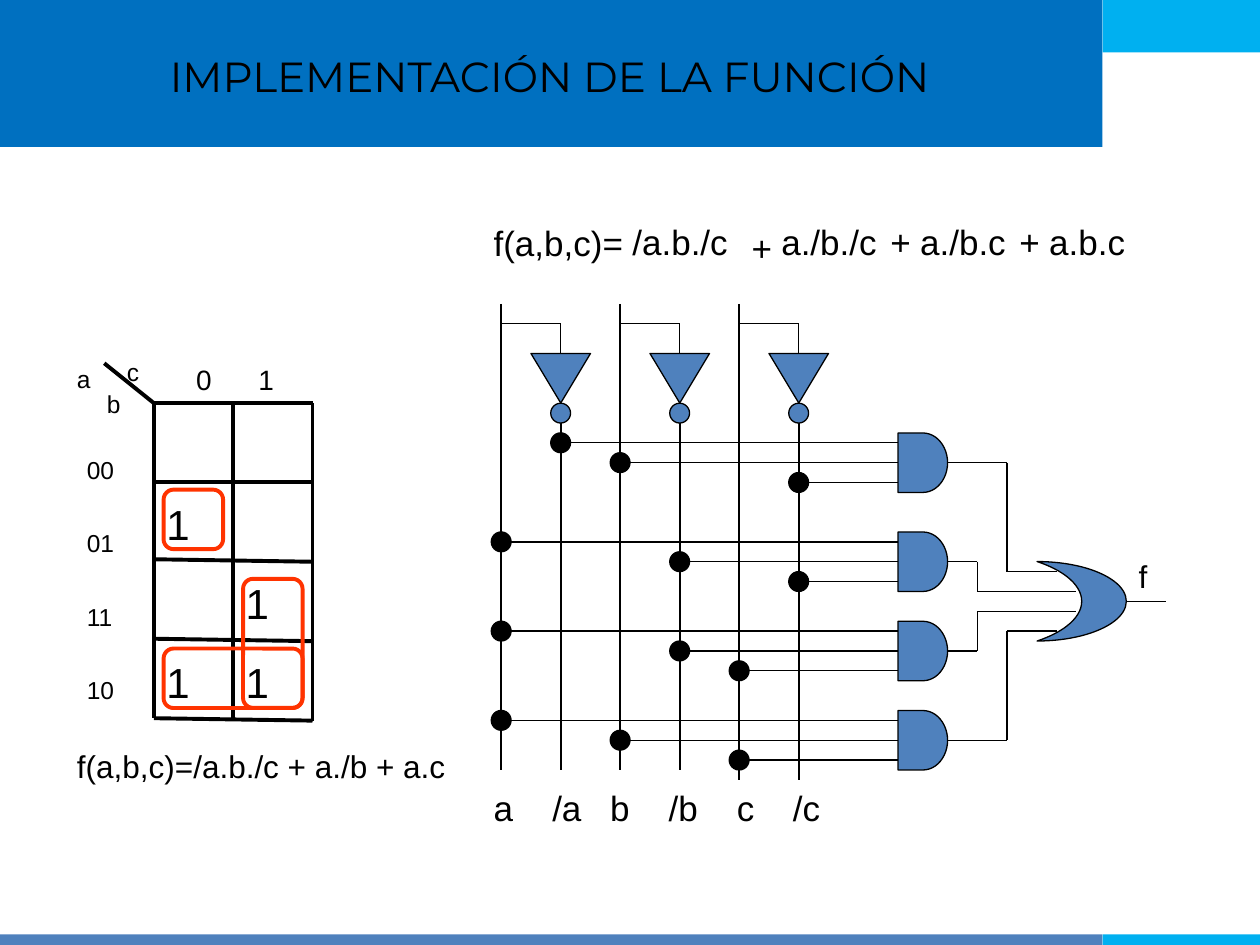
"""Builds a slide that implements a three-variable logic function with a Karnaugh map and gates."""
from itertools import pairwise

from lxml import etree
from pptx import Presentation
from pptx.dml.color import RGBColor
from pptx.enum.shapes import MSO_CONNECTOR, MSO_SHAPE
from pptx.enum.text import MSO_ANCHOR, MSO_AUTO_SIZE, PP_ALIGN
from pptx.oxml.ns import qn
from pptx.util import Pt

STRAIGHT = MSO_CONNECTOR.STRAIGHT
RECT, ROUNDED, CIRCLE = MSO_SHAPE.RECTANGLE, MSO_SHAPE.ROUNDED_RECTANGLE, MSO_SHAPE.OVAL
AND_GATE, OR_GATE = MSO_SHAPE.FLOWCHART_DELAY, MSO_SHAPE.MOON
TRIANGLE = MSO_SHAPE.FLOWCHART_EXTRACT
MIDDLE, TOP = MSO_ANCHOR.MIDDLE, MSO_ANCHOR.TOP
CENTER, LEFT = PP_ALIGN.CENTER, PP_ALIGN.LEFT
GROW, FIXED = MSO_AUTO_SIZE.SHAPE_TO_FIT_TEXT, MSO_AUTO_SIZE.NONE

BLACK = RGBColor(0x00, 0x00, 0x00)
BLUE = RGBColor(0x00, 0x70, 0xC0)
CYAN = RGBColor(0x00, 0xB0, 0xF0)
STEEL = RGBColor(0x4F, 0x81, 0xBD)
RED = RGBColor(0xFF, 0x33, 0x00)


class LogicSlide:
    def __init__(self, slide, font="Arial", ink=BLACK, thin=0.75):
        self.shapes = slide.shapes
        self.font, self.ink, self.thin = font, ink, thin

    def shape(self, kind, left, top, width, height, fill=None, line=None, weight=None, turn=0):
        shape = self.shapes.add_shape(kind, Pt(left), Pt(top), Pt(width), Pt(height))
        shape.shadow.inherit = False
        shape.rotation = turn
        if fill is None:
            shape.fill.background()
        else:
            shape.fill.solid()
            shape.fill.fore_color.rgb = fill
        if line is None:
            shape.line.fill.background()
        else:
            shape.line.color.rgb = line
            shape.line.width = Pt(weight or self.thin)

    def circle(self, x, y, fill):
        self.shape(CIRCLE, x - 5.67, y - 5.67, 11.34, 11.34, fill, self.ink)

    def wire(self, *points, weight=None):
        for start, end in pairwise(points):
            line = self.shapes.add_connector(STRAIGHT, *map(Pt, start + end))
            line.line.color.rgb = self.ink
            line.line.width = Pt(weight or self.thin)
            etree.SubElement(line._element.spPr, qn("a:effectLst"))

    def text(self, words, left, top, width, height, size, font=None, align=LEFT,
             anchor=TOP, fit=GROW, spacing=None, tabs=()):
        box = self.shapes.add_textbox(Pt(left), Pt(top), Pt(width), Pt(height))
        frame = box.text_frame
        frame.word_wrap = True
        frame.auto_size = fit
        frame.vertical_anchor = anchor
        frame.text = words
        for paragraph in frame.paragraphs:
            paragraph.alignment = align
            if spacing:
                paragraph.line_spacing = spacing
            if tabs:
                stops = etree.SubElement(paragraph._p.get_or_add_pPr(), qn("a:tabLst"))
                for stop in tabs:
                    etree.SubElement(stops, qn("a:tab"), pos=str(Pt(stop)), algn="l")
            paragraph.font.name = font or self.font
            paragraph.font.size = Pt(size)
            paragraph.font.color.rgb = self.ink


def draw_frame(page):
    for top, main_height, side_height, main_fill in ((0, 84, 30, BLUE), (534, 6, 6, STEEL)):
        page.shape(RECT, 0, top, 630, main_height, main_fill)
        page.shape(RECT, 630, top, 90, side_height, CYAN)
    page.text("IMPLEMENTACIÓN DE LA FUNCIÓN", 8, 8, 612, 70, 24, "Montserrat",
              CENTER, MIDDLE, FIXED)


def draw_map(page):
    left, middle, right, top = 88, 133.2, 178.6, 230.4
    for x, bottom in ((left, 410.4), (middle, 411.8), (right, 411.8)):
        page.wire((x, top), (x, bottom), weight=2.25)
    for y_left, y_right in ((top, top), (275.6, 275.6), (319.6, 321), (365, 366.4), (410.4, 411.8)):
        page.wire((left, y_left), (right, y_right), weight=2.25)
    page.wire((59.6, 207.6), (left, top), weight=2.25)
    for variable, x, y in (("c", 65.4, 200.4), ("a", 36.9, 204.2), ("b", 54, 218.7)):
        page.text(variable, x, y, 34, 24.3, 14)
    page.text("00\n01\n11\n10", 42.5, 231.2, 39.7, 169.5, 14, spacing=2.5)
    page.text("0\t1", 105, 203.8, 68, 26.7, 16, tabs=(35.5,))
    for x, y in ((left, 281.5), (left, 371.8), (middle, 371.8), (middle, 326.2)):
        page.text("1", x, y, 39.7, 36.3, 24)
    for group in ((93.5, 370.6, 79.4, 34), (138.9, 330.8, 34, 73.7), (93.5, 279.8, 34, 34)):
        page.shape(ROUNDED, *group, line=RED, weight=2.25)
    page.text("f(a,b,c)=/a.b./c + a./b + a.c", 36.9, 423.4, 226.8, 29, 18)


def draw_circuit(page):
    rails = {name: 286.4 + 34 * i for i, name in enumerate(("a", "/a", "b", "/b", "c", "/c"))}
    for variable, bottom in (("a", 440), ("b", 440), ("c", 445.8)):
        direct, inverted = rails[variable], rails["/" + variable]
        page.wire((direct, 173.6), (direct, bottom), weight=1)
        page.wire((direct, 185), (inverted, 185), (inverted, 202))
        page.wire((inverted, 241.8), (inverted, bottom), weight=1)
        page.shape(TRIANGLE, inverted - 17, 202, 34, 28.3, STEEL, BLACK, turn=180)
        page.circle(inverted, 236.1, STEEL)
    page.text("a\t/a\tb\t/b\tc\t/c", 275, 445.8, 204, 31.5, 20, tabs=(33.5, 66.5, 100, 139, 171))

    gate_left, gate_right, or_middle = 513.2, 541.5, 343.6
    page.shape(OR_GATE, 592.6, or_middle - 22.7, 51, 45.4, STEEL, BLACK, turn=180)
    page.wire((643.6, or_middle), (666, or_middle))
    page.text("f", 643.6, 314.6, 28.3, 29, 18)
    gates = (
        (264.4, ("/a", "b", "/c"), 575.4, -17, 604),
        (321, ("a", "/b", "/c"), 558.4, -5.67, 615),
        (372, ("a", "/b", "c"), 558.4, 5.67, 615),
        (423, ("a", "b", "c"), 575.4, 17, 604),
    )
    for y, inputs, bend, offset, end in gates:
        page.shape(AND_GATE, gate_left, y - 17, gate_right - gate_left, 34, STEEL, BLACK)
        for i, name in enumerate(inputs):
            input_y = y + 11.34 * (i - 1)
            page.wire((rails[name], input_y), (gate_left, input_y))
            page.circle(rails[name], input_y, BLACK)
        target = or_middle + offset
        page.wire((gate_right, y), (bend, y), (bend, target), (end, target))


def draw_formula(page):
    terms = (
        ("f(a,b,c)=", 275, 123.1, 108), ("/a.b./c", 354.3, 122.4, 73.7),
        ("+", 422.4, 126, 28.3), ("a./b./c", 439.4, 122.4, 73.7),
        ("+", 501.8, 122.4, 28.3), ("a./b.c", 518.7, 122.4, 68),
        ("+", 575.4, 122.4, 28.3), ("a.b.c", 592.4, 122.4, 62.4),
    )
    for term, x, y, width in terms:
        page.text(term, x, y, width, 31.5, 20)


def main():
    deck = Presentation()
    deck.slide_width, deck.slide_height = Pt(720), Pt(540)
    page = LogicSlide(deck.slides.add_slide(deck.slide_layouts[6]))
    draw_frame(page)
    draw_map(page)
    draw_circuit(page)
    draw_formula(page)
    deck.save("out.pptx")


if __name__ == "__main__":
    main()
